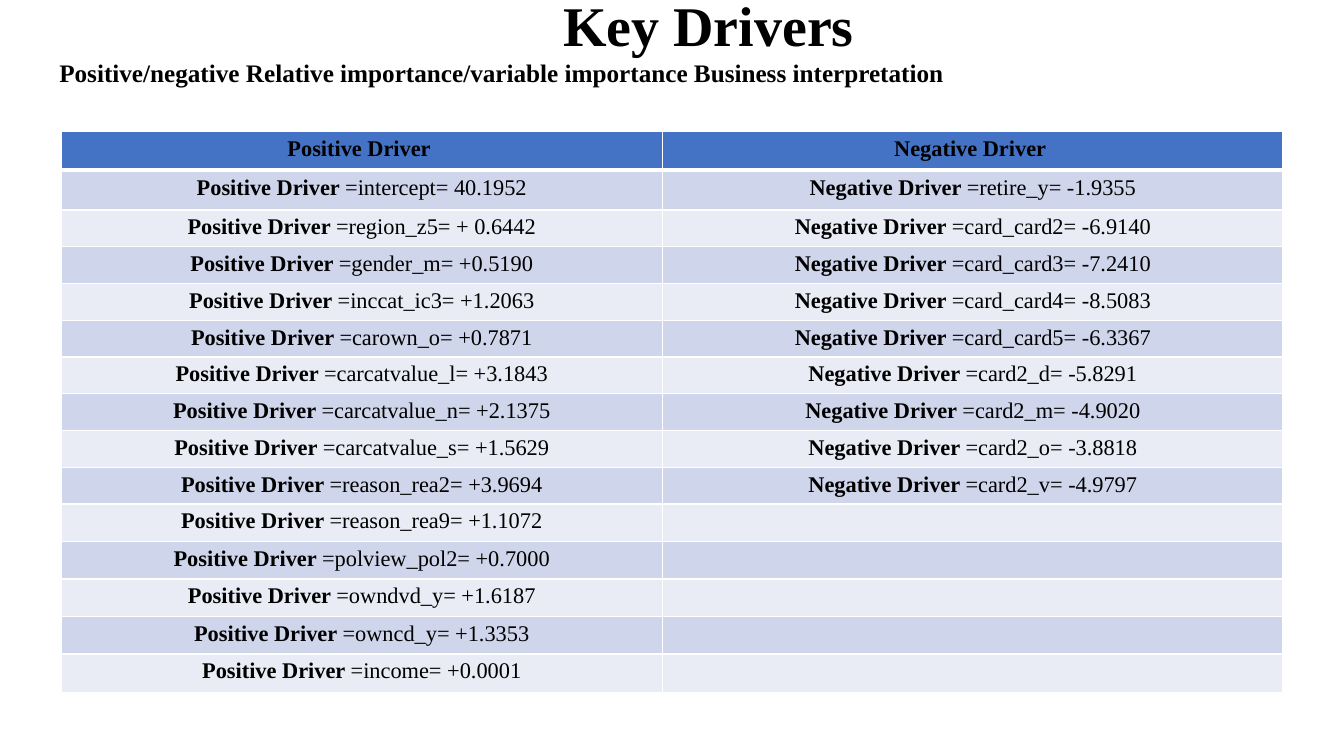
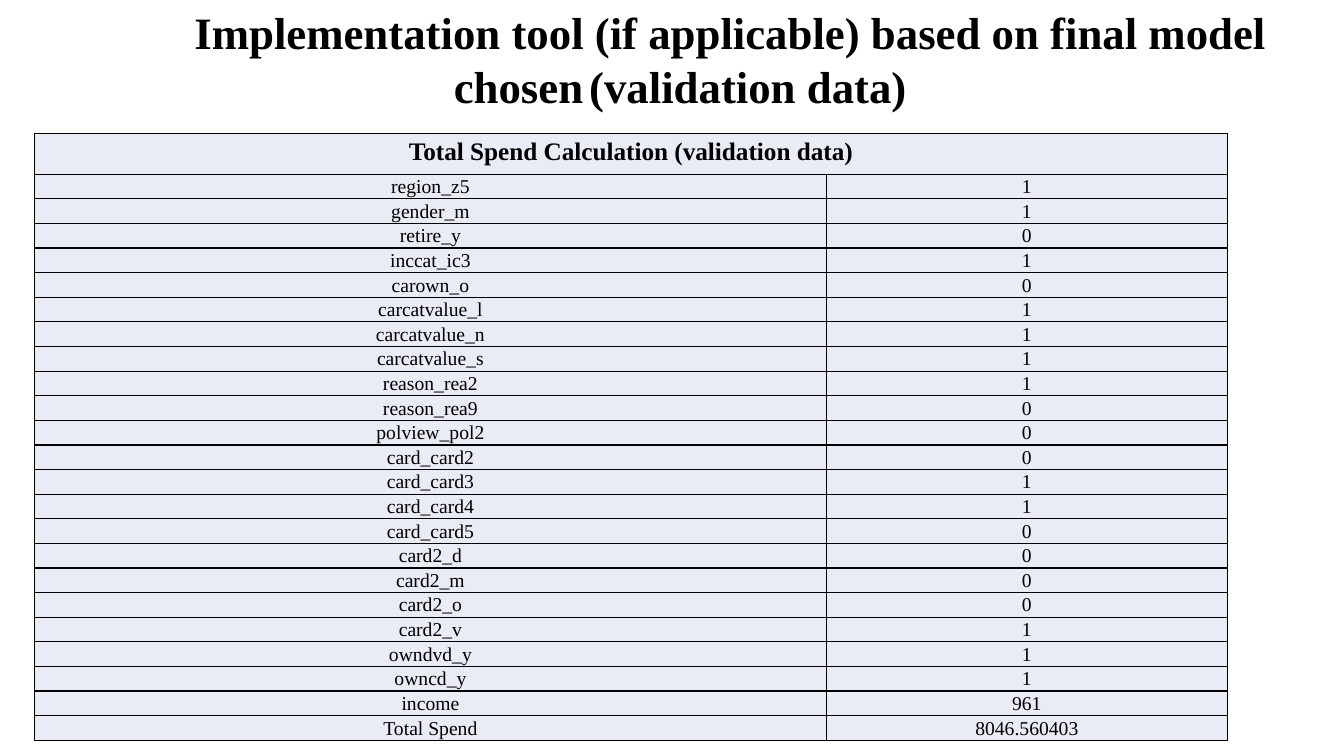
from itertools import zip_longest
from lxml.etree import SubElement
from pptx import Presentation
from pptx.dml.color import RGBColor
from pptx.enum.text import MSO_ANCHOR, MSO_AUTO_SIZE, PP_ALIGN
from pptx.oxml.ns import qn
from pptx.util import Pt

PX = 9525
SERIF = "Times New Roman"
BLACK, WHITE = "000000", "FFFFFF"
BLUE, DARK_BAND, LIGHT_BAND = "4472C4", "CFD5EA", "E9EBF5"


def colour(value):
    return RGBColor.from_string(value)


def write(para, align, spans):
    para.alignment = align
    for text, size, bold, name in spans:
        span = para.add_run()
        span.text = text
        for key, value in {"size": Pt(size), "bold": bold, "name": name}.items():
            setattr(span.font, key, value)
        span.font.color.rgb = colour(BLACK)


positive = [
    "intercept= 40.1952", "region_z5= + 0.6442", "gender_m= +0.5190",
    "inccat_ic3= +1.2063", "carown_o= +0.7871", "carcatvalue_l= +3.1843",
    "carcatvalue_n= +2.1375", "carcatvalue_s= +1.5629", "reason_rea2= +3.9694",
    "reason_rea9= +1.1072", "polview_pol2= +0.7000", "owndvd_y= +1.6187",
    "owncd_y= +1.3353", "income= +0.0001",
]
negative = [
    "retire_y= -1.9355", "card_card2= -6.9140", "card_card3= -7.2410",
    "card_card4= -8.5083", "card_card5= -6.3367", "card2_d= -5.8291",
    "card2_m= -4.9020", "card2_o= -3.8818", "card2_v= -4.9797",
]
spend = [
    ("region_z5", "1"), ("gender_m", "1"), ("retire_y", "0"), ("inccat_ic3", "1"),
    ("carown_o", "0"), ("carcatvalue_l", "1"), ("carcatvalue_n", "1"),
    ("carcatvalue_s", "1"), ("reason_rea2", "1"), ("reason_rea9", "0"),
    ("polview_pol2", "0"), ("card_card2", "0"), ("card_card3", "1"),
    ("card_card4", "1"), ("card_card5", "0"), ("card2_d", "0"), ("card2_m", "0"),
    ("card2_o", "0"), ("card2_v", "1"), ("owndvd_y", "1"), ("owncd_y", "1"),
    ("income", "961"), ("Total Spend", "8046.560403"),
]

labels = ("Positive Driver ", "Negative Driver ")
driver_rows = [[[(label, 16, True, SERIF)] for label in labels]]
for pair in zip_longest(positive, negative):
    driver_rows.append([
        [(label, 16, True, SERIF), ("=" + driver, 16, False, SERIF)] if driver else []
        for label, driver in zip(labels, pair)
    ])

spend_rows = [[[("Total Spend Calculation (validation data)", 18, True, SERIF)], []]]
for pair in spend:
    spend_rows.append([[(text, 14, False, SERIF)] for text in pair])

slides = [
    {
        "title_area": (47, -14, 1389, 104),
        "title": [
            (PP_ALIGN.LEFT, 480, [("Key Drivers", 40, True, SERIF)]),
            (PP_ALIGN.LEFT, 0, [(
                "Positive/negative Relative importance/variable importance "
                "Business interpretation", 18, True, SERIF)]),
        ],
        "corner": (58, 125),
        "columns": (573, 591),
        "heights": [37, 38] + [35] * 12 + [37],
        "rows": driver_rows,
        "fills": [BLUE] + [DARK_BAND, LIGHT_BAND] * 7,
        "border": WHITE,
        "rule": 3,
        "merged": False,
        "body": {},
    },
    {
        "title_area": (73, 0, 1150, 113),
        "title": [
            (PP_ALIGN.CENTER, 96, [
                ("Implementation tool (if applicable) based on final model chosen",
                 32, True, SERIF),
                (" ", 18, False, "Calibri"),
                ("(validation data)", 32, True, SERIF)]),
        ],
        "corner": (33, 127),
        "columns": (754, 382),
        "heights": [39] + [23] * len(spend),
        "rows": spend_rows,
        "fills": [LIGHT_BAND] * len(spend_rows),
        "border": BLACK,
        "rule": 1,
        "merged": True,
        "body": {"margin_left": PX, "margin_right": PX, "margin_top": PX,
                 "margin_bottom": 0, "vertical_anchor": MSO_ANCHOR.MIDDLE},
    },
]

deck = Presentation()
deck.slide_width, deck.slide_height = 1280 * PX, 720 * PX

for content in slides:
    page = deck.slides.add_slide(deck.slide_layouts[6])

    rows, columns, heights = content["rows"], content["columns"], content["heights"]
    left, top = content["corner"]
    table = page.shapes.add_table(
        len(rows), len(columns), left * PX, top * PX,
        sum(columns) * PX, sum(heights) * PX).table
    table.first_row = table.horz_banding = False
    for column, width in zip(table.columns, columns):
        column.width = width * PX
    for row, height in zip(table.rows, heights):
        row.height = height * PX
    if content["merged"]:
        table.cell(0, 0).merge(table.cell(0, 1))

    for r, row in enumerate(rows):
        edges = {
            "a:lnL": 1,
            "a:lnR": 1,
            "a:lnT": content["rule"] if r == 1 else 1,
            "a:lnB": content["rule"] if r == 0 else 1,
        }
        for c, spans in enumerate(row):
            cell = table.cell(r, c)
            if r:
                for key, value in content["body"].items():
                    setattr(cell, key, value)
            properties = cell._tc.get_or_add_tcPr()
            for tag, points in edges.items():
                edge = SubElement(properties, qn(tag), w=str(Pt(points)))
                paint = SubElement(edge, qn("a:solidFill"))
                SubElement(paint, qn("a:srgbClr"), val=content["border"])
            cell.fill.solid()
            cell.fill.fore_color.rgb = colour(content["fills"][r])
            para = cell.text_frame.paragraphs[0]
            write(para, PP_ALIGN.CENTER, spans)
            if not spans:
                SubElement(para._p, qn("a:endParaRPr"), sz="1600")

    box = page.shapes.add_textbox(*[length * PX for length in content["title_area"]])
    frame = box.text_frame
    frame.word_wrap = True
    frame.auto_size = MSO_AUTO_SIZE.SHAPE_TO_FIT_TEXT
    for number, (align, indent, spans) in enumerate(content["title"]):
        para = frame.add_paragraph() if number else frame.paragraphs[0]
        para._p.get_or_add_pPr().set("indent", str(indent * PX))
        write(para, align, spans)

deck.save("out.pptx")
